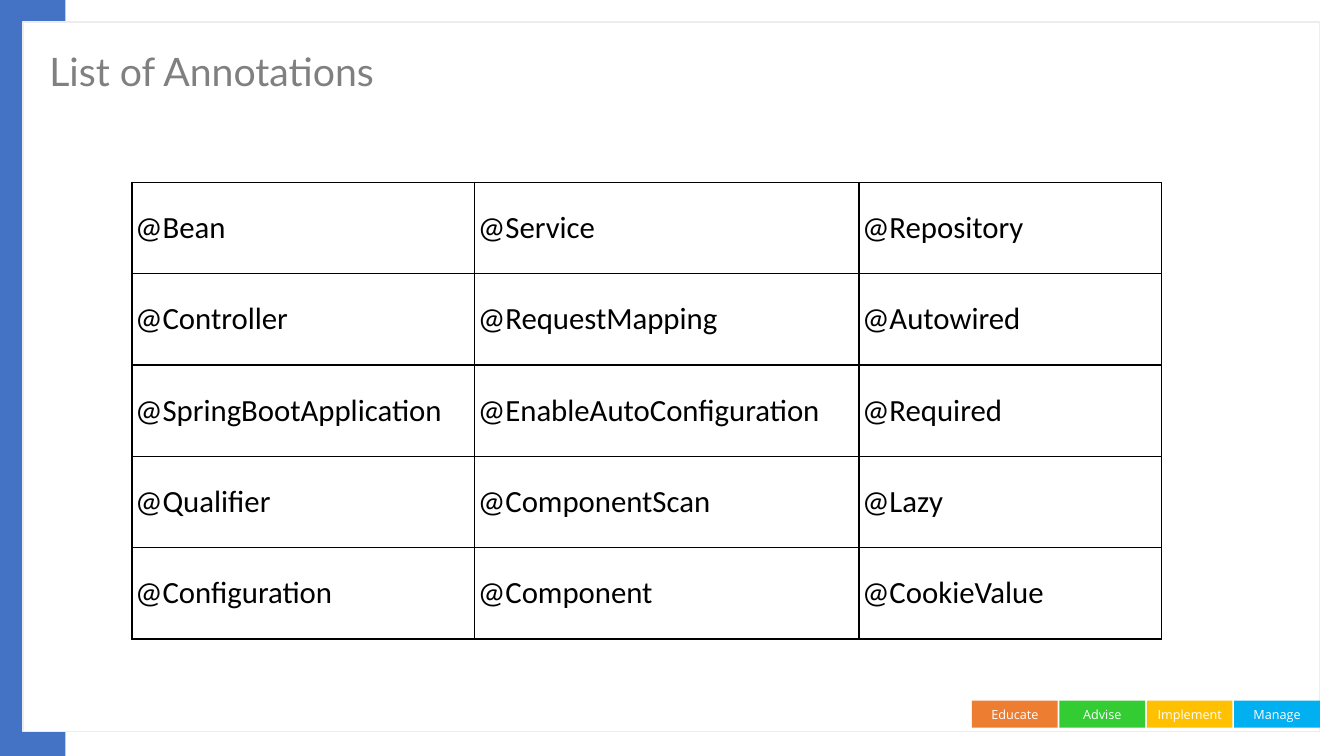
"""Build the slide that lists the framework annotations in a table."""
from dataclasses import dataclass

from lxml import etree
from pptx import Presentation
from pptx.dml.color import RGBColor
from pptx.enum.shapes import MSO_SHAPE
from pptx.enum.text import MSO_ANCHOR, MSO_AUTO_SIZE, PP_ALIGN
from pptx.oxml.ns import qn
from pptx.util import Inches, Pt

RECTANGLE = MSO_SHAPE.RECTANGLE
MIDDLE = MSO_ANCHOR.MIDDLE
LEFT, CENTER = PP_ALIGN.LEFT, PP_ALIGN.CENTER
NO_AUTOFIT = MSO_AUTO_SIZE.NONE
TITLE_ONLY = 5


@dataclass(frozen=True)
class Theme:
    """Colours, fonts and type sizes of the slide."""
    accent: str = "4472C4"
    white: str = "FFFFFF"
    frame: str = "EDEDED"
    title: str = "808080"
    ink: str = "000000"
    title_font: str = "Lato"
    tag_font: str = "Open Sans"
    cell_font: str = "Calibri"
    title_size: int = 28
    tag_size: int = 9
    cell_size: int = 22
    line_width: int = 1


@dataclass(frozen=True)
class Block:
    """A filled rectangle, measured in inches."""
    left: float
    top: float
    width: float
    height: float
    fill: str
    line: str = ""
    label: str = ""


THEME = Theme()
TAG_LEFT, TAG_STEP = 9.64, 0.867
TAGS = [("Educate", "ED7D31"), ("Advise", "33CC33"),
        ("Implement", "FFC000"), ("Manage", "00B0F0")]
BLOCKS = [
    Block(0, 0, 0.65, 7.5, THEME.accent),
    Block(0.23, 0.22, 12.86, 7.04, THEME.white, THEME.frame),
    *(Block(TAG_LEFT + index * TAG_STEP, 6.95, 0.85, 0.27, fill, label=label)
      for index, (label, fill) in enumerate(TAGS)),
]
COLUMN_WIDTHS = [3.4, 3.81, 3]
ROW_HEIGHT = 0.906
CELL_MARGIN = 0.03
ANNOTATIONS = [
    ["@Bean", "@Service", "@Repository"],
    ["@Controller", "@RequestMapping", "@Autowired"],
    ["@SpringBootApplication", "@EnableAutoConfiguration", "@Required"],
    ["@Qualifier", "@ComponentScan", "@Lazy"],
    ["@Configuration", "@Component", "@CookieValue"],
]


def style_text(frame, font: str, size: int, color: str, align=LEFT) -> None:
    """Format every run of a text frame."""
    for para in frame.paragraphs:
        para.alignment = align
        for span in para.runs:
            span.font.name = font
            span.font.size = Pt(size)
            span.font.bold = False
            span.font.color.rgb = RGBColor.from_string(color)


def set_margins(target, margin: float) -> None:
    """Give a cell or text frame equal margins."""
    target.margin_left = target.margin_right = Inches(margin)
    target.margin_top = target.margin_bottom = Inches(margin)


def draw_block(page, block: Block) -> None:
    """Draw a rectangle with its optional line and label."""
    box = page.shapes.add_shape(RECTANGLE, Inches(block.left), Inches(block.top),
                                Inches(block.width), Inches(block.height))
    box.shadow.inherit = False
    box.fill.solid()
    box.fill.fore_color.rgb = RGBColor.from_string(block.fill)
    if block.line:
        box.line.color.rgb = RGBColor.from_string(block.line)
        box.line.width = Pt(THEME.line_width)
    else:
        box.line.fill.background()
    if block.label:
        frame = box.text_frame
        frame.text = block.label
        frame.vertical_anchor = MIDDLE
        set_margins(frame, 0)
        style_text(frame, THEME.tag_font, THEME.tag_size, THEME.white, CENTER)


def draw_title(page, text: str) -> None:
    """Fill the title placeholder and bring it in front of the panel."""
    title = page.shapes.title
    title.left, title.top = Inches(0.39), Inches(0.3)
    title.width, title.height = Inches(10.32), Inches(0.87)
    frame = title.text_frame
    frame.text = text
    frame.word_wrap = True
    frame.auto_size = NO_AUTOFIT
    frame.vertical_anchor = MIDDLE
    frame.paragraphs[0].line_spacing = 0.9
    style_text(frame, THEME.title_font, THEME.title_size, THEME.title)
    title.element.getparent().append(title.element)


def add_borders(cell) -> None:
    """Draw a thin line on all four sides of a cell."""
    properties = cell._tc.get_or_add_tcPr()
    for position, side in enumerate(("a:lnL", "a:lnR", "a:lnT", "a:lnB")):
        line = etree.Element(qn(side), w=str(Pt(THEME.line_width)))
        fill = etree.SubElement(line, qn("a:solidFill"))
        etree.SubElement(fill, qn("a:srgbClr"), val=THEME.ink)
        properties.insert(position, line)


def draw_table(page, rows: list[list[str]]) -> None:
    """Draw the bordered table of annotations."""
    table = page.shapes.add_table(
        len(rows), len(COLUMN_WIDTHS), Inches(1.31), Inches(1.81),
        Inches(sum(COLUMN_WIDTHS)), Inches(ROW_HEIGHT * len(rows))).table
    table.first_row = table.horz_banding = False
    for column, width in zip(table.columns, COLUMN_WIDTHS):
        column.width = Inches(width)
    for row, texts in zip(table.rows, rows):
        row.height = Inches(ROW_HEIGHT)
        for cell, text in zip(row.cells, texts):
            cell.text_frame.text = text
            cell.vertical_anchor = MIDDLE
            set_margins(cell, CELL_MARGIN)
            cell.fill.background()
            style_text(cell.text_frame, THEME.cell_font, THEME.cell_size, THEME.ink)
            add_borders(cell)


def main() -> None:
    """Assemble and save the deck."""
    deck = Presentation()
    deck.slide_width, deck.slide_height = Inches(13.33), Inches(7.5)
    page = deck.slides.add_slide(deck.slide_layouts[TITLE_ONLY])
    for block in BLOCKS:
        draw_block(page, block)
    draw_title(page, "List of Annotations")
    draw_table(page, ANNOTATIONS)
    deck.save("out.pptx")


main()
